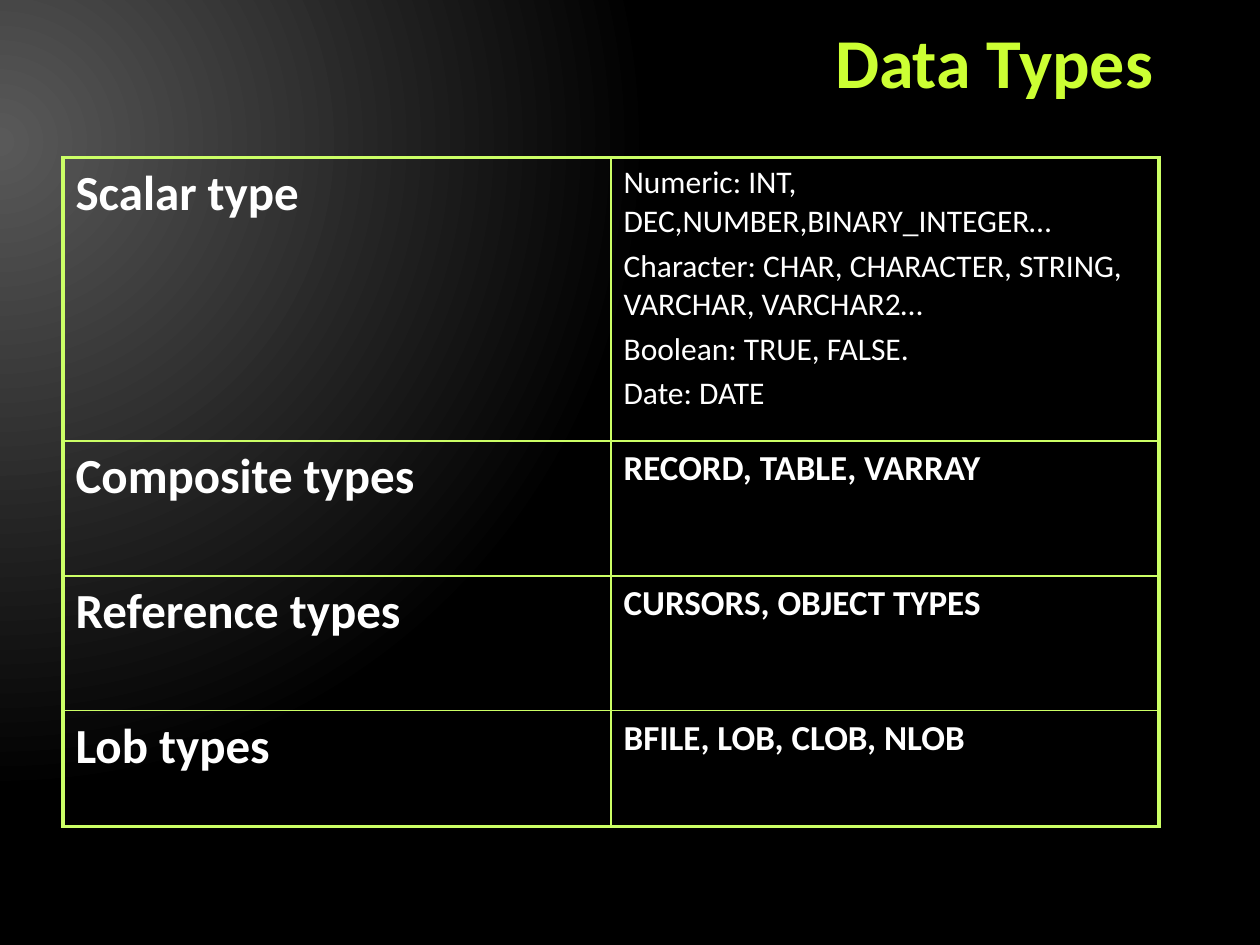
import pptx
import pptx.util
import pptx.dml.color
import pptx.enum.text
import pptx.oxml
import pptx.oxml.ns
from lxml import etree

TITLE = "Data Types"
ROWS = [
    (2.25, "Scalar type ", 18, False, [
        "Numeric: INT, DEC,NUMBER,BINARY_INTEGER…",
        "Character: CHAR, CHARACTER, STRING, VARCHAR, VARCHAR2…",
        "Boolean: TRUE, FALSE.",
        "Date: DATE",
    ]),
    (1.07, "Composite types ", 20, True, ["RECORD, TABLE, VARRAY "]),
    (1.07, "Reference types ", 20, True, ["CURSORS, OBJECT TYPES "]),
    (0.92, "Lob types ", 20, True, ["BFILE, LOB, CLOB, NLOB "]),
]
THEME = {
    "font": "Calibri", "title": "CCFF33", "text": "FFFFFF", "border": "CCFF66",
    "glow": "595959", "dark": "000000",
    "title_size": 40, "title_line": 44, "label_size": 28, "outer": 2.25, "inner": 1,
}
TITLE_BOX = (0.58, 0.17, 8.67, 0.67)
TABLE_LEFT, TABLE_TOP, COLUMN_WIDTH, COLUMN_COUNT = 0.5, 1.25, 4.35, 2
Inches, Pt = pptx.util.Inches, pptx.util.Pt
qn = pptx.oxml.ns.qn


def format_runs(paragraph, size, color, bold):
    for run in paragraph.runs:
        run.font.name = THEME["font"]
        run.font.size = Pt(size)
        run.font.bold = bold
        run.font.color.rgb = pptx.dml.color.RGBColor.from_string(color)


def paint_background(slide):
    slide.background.fill.gradient()
    old_fill = slide.background._cSld.find(".//" + qn("a:gradFill"))
    new_fill = pptx.oxml.parse_xml(
        f'<a:gradFill {pptx.oxml.ns.nsdecls("a")} rotWithShape="1"><a:gsLst>'
        f'<a:gs pos="0"><a:srgbClr val="{THEME["glow"]}"/></a:gs>'
        f'<a:gs pos="83000"><a:srgbClr val="{THEME["dark"]}"/></a:gs></a:gsLst>'
        '<a:path path="circle"><a:fillToRect l="20000" t="30000" r="135000" b="100000"/>'
        '</a:path></a:gradFill>')
    old_fill.getparent().replace(old_fill, new_fill)


def add_borders(cell, row, column):
    outer_edges = {
        "L": column == 0, "R": column == COLUMN_COUNT - 1,
        "T": row == 0, "B": row == len(ROWS) - 1,
    }
    properties = cell._tc.get_or_add_tcPr()
    for position, (side, is_outer) in enumerate(outer_edges.items()):
        width = Pt(THEME["outer" if is_outer else "inner"])
        line = etree.Element(qn("a:ln" + side), w=str(int(width)))
        fill = etree.SubElement(line, qn("a:solidFill"))
        etree.SubElement(fill, qn("a:srgbClr"), val=THEME["border"])
        properties.insert(position, line)


def fill_cell(cell, lines, size, bold):
    cell.fill.background()
    cell.text_frame.text = "\n".join(lines)
    for paragraph in cell.text_frame.paragraphs:
        spacing = etree.SubElement(paragraph._p.get_or_add_pPr(), qn("a:spcBef"))
        etree.SubElement(spacing, qn("a:spcPct"), val="20000")
        format_runs(paragraph, size, THEME["text"], bold)


presentation = pptx.Presentation()
presentation.slide_width, presentation.slide_height = Inches(10), Inches(7.5)
slide = presentation.slides.add_slide(presentation.slide_layouts[6])
paint_background(slide)

title = slide.shapes.add_textbox(*map(Inches, TITLE_BOX)).text_frame
title.text = TITLE
title.word_wrap = True
title.vertical_anchor = pptx.enum.text.MSO_ANCHOR.MIDDLE
heading = title.paragraphs[0]
heading.alignment = pptx.enum.text.PP_ALIGN.RIGHT
heading.line_spacing = Pt(THEME["title_line"])
format_runs(heading, THEME["title_size"], THEME["title"], True)

table = slide.shapes.add_table(
    len(ROWS), COLUMN_COUNT, Inches(TABLE_LEFT), Inches(TABLE_TOP),
    Inches(COLUMN_WIDTH * COLUMN_COUNT), Inches(sum(row[0] for row in ROWS))).table
table.first_row = table.horz_banding = False
for column in table.columns:
    column.width = Inches(COLUMN_WIDTH)
for row, (height, label, size, bold, lines) in enumerate(ROWS):
    table.rows[row].height = Inches(height)
    fill_cell(table.cell(row, 0), [label], THEME["label_size"], True)
    fill_cell(table.cell(row, 1), lines, size, bold)
    for column in range(COLUMN_COUNT):
        add_borders(table.cell(row, column), row, column)

presentation.save("out.pptx")
